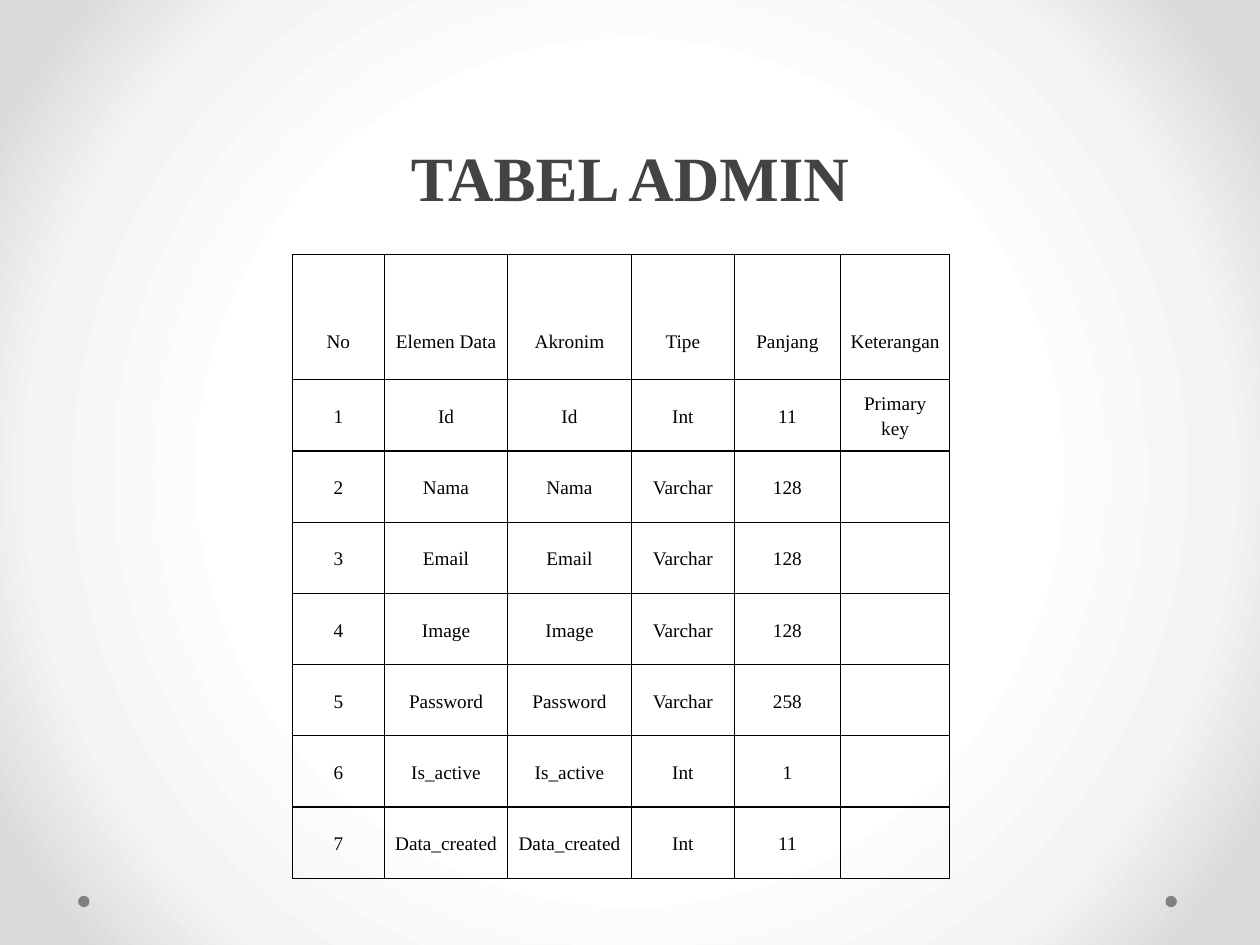
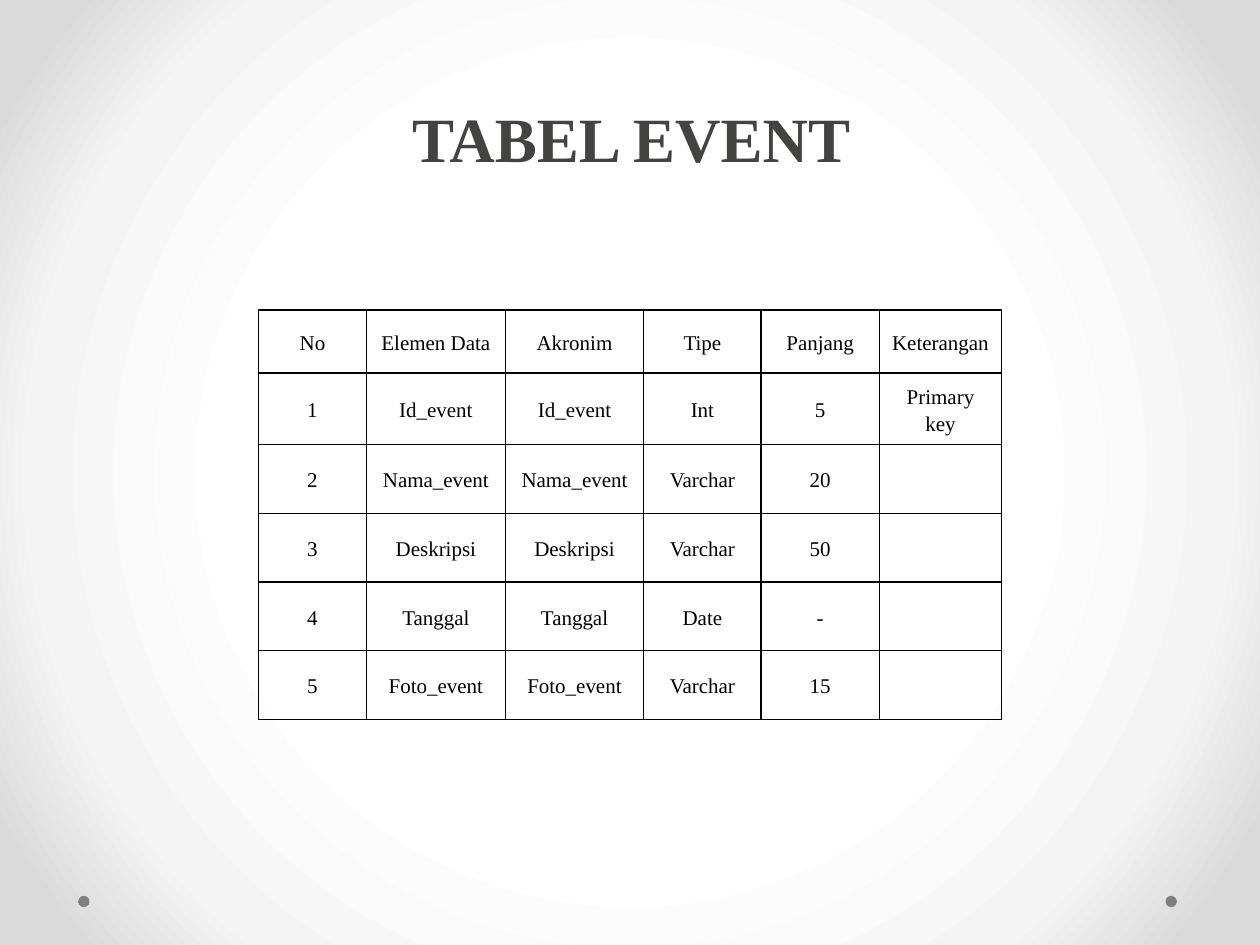
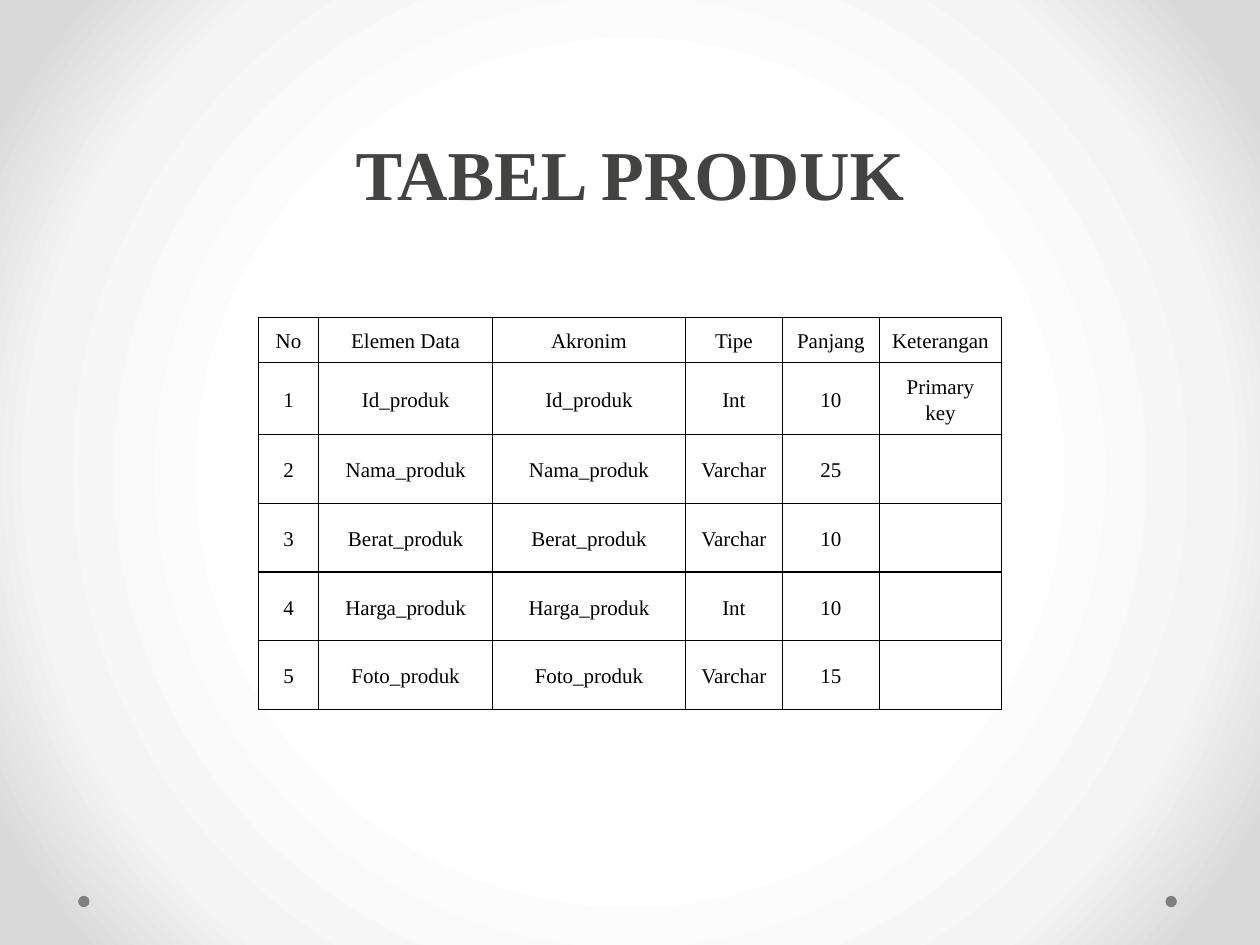
"""Build three slides that describe the admin, event and product database tables."""
from lxml import etree
from pptx import Presentation
from pptx.dml.color import RGBColor
from pptx.enum.shapes import MSO_SHAPE
from pptx.enum.text import MSO_ANCHOR, PP_ALIGN
from pptx.oxml import parse_xml
from pptx.oxml.ns import qn
from pptx.util import Inches, Pt

OVAL = MSO_SHAPE.OVAL
MIDDLE, BOTTOM = MSO_ANCHOR.MIDDLE, MSO_ANCHOR.BOTTOM
CENTER = PP_ALIGN.CENTER
TITLE_ONLY = 5

FONT = "Times New Roman"
COLORS = {"title": "434342", "text": "000000", "border": "000000", "dot": "808080"}
BACKDROP = [(50, "FFFFFF"), (76, "F4F4F4"), (92, "DADADA")]
DOT_LEFTS, DOT_TOP, DOT_SIZE = (0.62, 9.25), 7.11, 0.09

HEADINGS = ["No", "Elemen Data", "Akronim", "Tipe", "Panjang", "Keterangan"]
KEY_NOTE = "Primary key"
KEY_ROW_HEIGHT = 0.57
PAD = 0.07

TABLES = [
    {
        "title": "TABEL ADMIN", "title_size": 36, "title_box": (0.5, 0, 9, 1.75),
        "at": (2.32, 2.02), "columns": [0.73, 0.98, 0.98, 0.82, 0.84, 0.87],
        "height": 4.95, "heading_height": 0.99, "heading_top_pad": 0.45,
        "text_size": 11, "side_pad": 0.07,
        "fields": [
            ("Id", "Int", "11"),
            ("Nama", "Varchar", "128"),
            ("Email", "Varchar", "128"),
            ("Image", "Varchar", "128"),
            ("Password", "Varchar", "258"),
            ("Is_active", "Int", "1"),
            ("Data_created", "Int", "11"),
        ],
    },
    {
        "title": "TABEL EVENT", "title_size": 36, "title_box": (0.51, 0.21, 9, 1.23),
        "at": (2.05, 2.46), "columns": [0.86, 1.1, 1.1, 0.93, 0.94, 0.97],
        "height": 3.25, "heading_height": 0.5, "heading_top_pad": PAD,
        "text_size": 12, "side_pad": 0.08,
        "fields": [
            ("Id_event", "Int", "5"),
            ("Nama_event", "Varchar", "20"),
            ("Deskripsi", "Varchar", "50"),
            ("Tanggal", "Date", "-"),
            ("Foto_event", "Varchar", "15"),
        ],
    },
    {
        "title": "TABEL PRODUK", "title_size": 40, "title_box": (0.5, 0, 9, 1.75),
        "at": (2.05, 2.52), "columns": [0.48, 1.38, 1.53, 0.77, 0.77, 0.97],
        "height": 3.11, "heading_height": 0.36, "heading_top_pad": PAD,
        "text_size": 12, "side_pad": 0.08,
        "fields": [
            ("Id_produk", "Int", "10"),
            ("Nama_produk", "Varchar", "25"),
            ("Berat_produk", "Varchar", "10"),
            ("Harga_produk", "Int", "10"),
            ("Foto_produk", "Varchar", "15"),
        ],
    },
]


def write(paragraph, text, size, color, bold=False):
    """Add one centred run in the shared font."""
    paragraph.alignment = CENTER
    run = paragraph.add_run()
    run.text = text
    run.font.name = FONT
    run.font.size = Pt(size)
    run.font.bold = bold
    run.font.color.rgb = RGBColor.from_string(COLORS[color])


def set_backdrop(master):
    """Give the master a circular gradient."""
    master.background.fill.solid()
    solid = master.element.find(".//" + qn("p:bgPr")).find(qn("a:solidFill"))
    stops = "".join(
        f'<a:gs pos="{percent * 1000}"><a:srgbClr val="{color}"/></a:gs>'
        for percent, color in BACKDROP
    )
    gradient = parse_xml(
        '<a:gradFill xmlns:a="http://schemas.openxmlformats.org/drawingml/2006/main" '
        f'rotWithShape="1"><a:gsLst>{stops}</a:gsLst><a:path path="circle">'
        '<a:fillToRect l="50000" t="50000" r="50000" b="50000"/></a:path></a:gradFill>'
    )
    solid.getparent().replace(solid, gradient)


def add_master_dots(master, slide):
    """Draw the two corner dots and move them to the master."""
    for left in DOT_LEFTS:
        dot = slide.shapes.add_shape(
            OVAL, Inches(left), Inches(DOT_TOP), Inches(DOT_SIZE), Inches(DOT_SIZE)
        )
        dot.shadow.inherit = False
        dot.fill.solid()
        dot.fill.fore_color.rgb = RGBColor.from_string(COLORS["dot"])
        dot.line.fill.background()
        master.shapes.element.append(dot.element)


def add_borders(cell):
    """Outline a cell on all four sides."""
    properties = cell._tc.get_or_add_tcPr()
    for place, side in enumerate(("a:lnL", "a:lnR", "a:lnT", "a:lnB")):
        line = etree.Element(qn(side), w=str(Pt(0.75)))
        fill = etree.SubElement(line, qn("a:solidFill"))
        etree.SubElement(fill, qn("a:srgbClr"), val=COLORS["border"])
        properties.insert(place, line)


def add_title(slide, content):
    title = slide.shapes.title
    title.left, title.top, title.width, title.height = map(Inches, content["title_box"])
    title.text_frame.vertical_anchor = BOTTOM
    paragraph = title.text_frame.paragraphs[0]
    paragraph.line_spacing = Pt(58)
    write(paragraph, content["title"], content["title_size"], "title", bold=True)


def fill_cell(cell, text, content, top_pad):
    cell.fill.background()
    add_borders(cell)
    cell.vertical_anchor = MIDDLE
    cell.margin_left = cell.margin_right = Inches(content["side_pad"])
    cell.margin_top, cell.margin_bottom = Inches(top_pad), Inches(PAD)
    if text:
        paragraph = cell.text_frame.paragraphs[0]
        paragraph.line_spacing = 1.15
        paragraph.space_after = Pt(7.2)
        write(paragraph, text, content["text_size"], "text")


def add_field_table(slide, content):
    rows = [HEADINGS] + [
        [str(number), element, element, kind, length, KEY_NOTE if number == 1 else ""]
        for number, (element, kind, length) in enumerate(content["fields"], 1)
    ]
    fixed = [content["heading_height"], KEY_ROW_HEIGHT]
    other_count = len(rows) - len(fixed)
    heights = fixed + [(content["height"] - sum(fixed)) / other_count] * other_count
    table = slide.shapes.add_table(
        len(rows), len(HEADINGS), *map(Inches, content["at"]),
        Inches(sum(content["columns"])), Inches(content["height"]),
    ).table
    table.first_row = table.horz_banding = False
    for column, width in zip(table.columns, content["columns"]):
        column.width = Inches(width)
    for index, (row, height, texts) in enumerate(zip(table.rows, heights, rows)):
        row.height = Inches(height)
        top_pad = PAD if index else content["heading_top_pad"]
        for cell, text in zip(row.cells, texts):
            fill_cell(cell, text, content, top_pad)


def main():
    deck = Presentation()
    deck.slide_width, deck.slide_height = Inches(10), Inches(7.5)
    set_backdrop(deck.slide_master)
    for index, content in enumerate(TABLES):
        slide = deck.slides.add_slide(deck.slide_layouts[TITLE_ONLY])
        if index == 0:
            add_master_dots(deck.slide_master, slide)
        add_title(slide, content)
        add_field_table(slide, content)
    deck.save("out.pptx")


if __name__ == "__main__":
    main()
